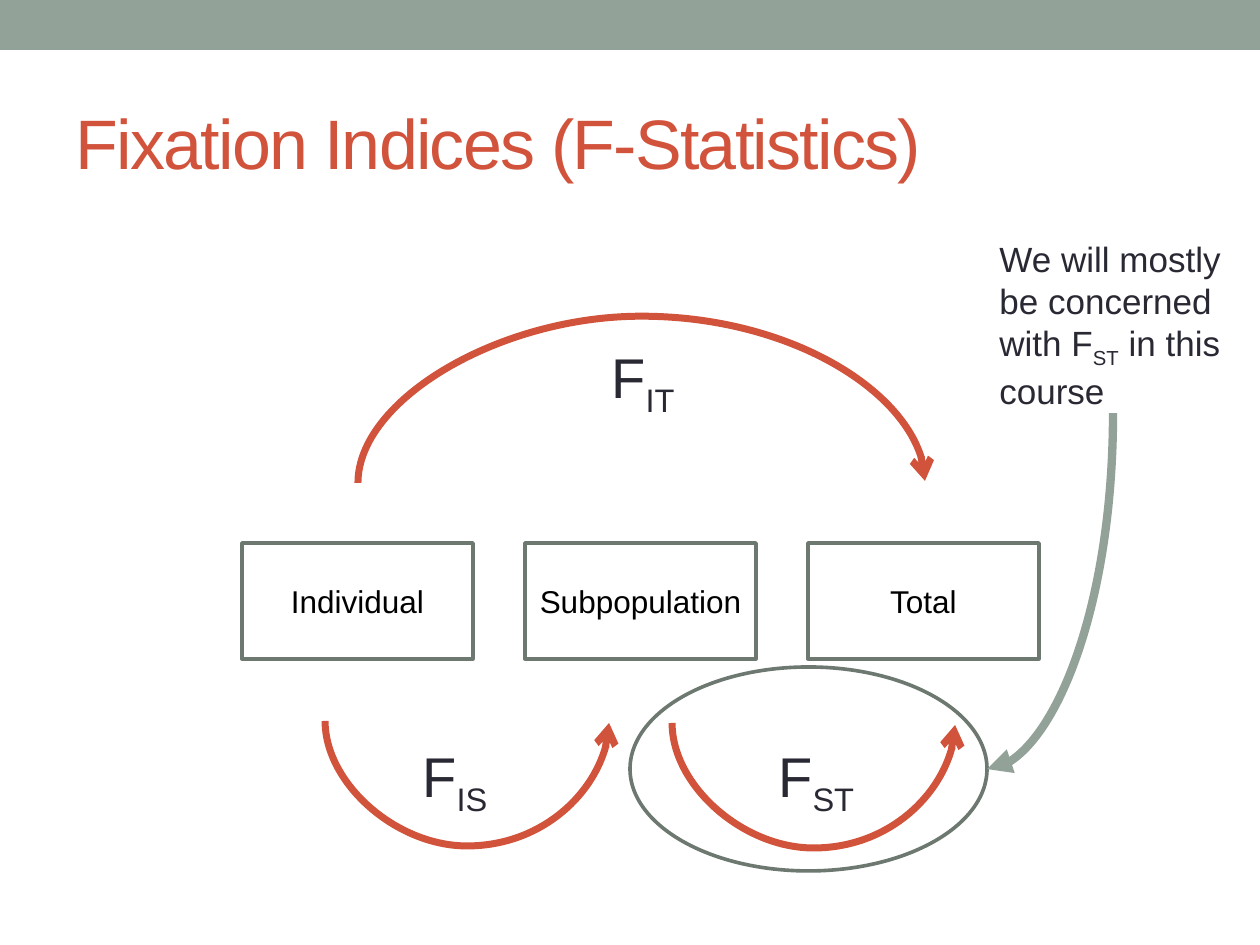
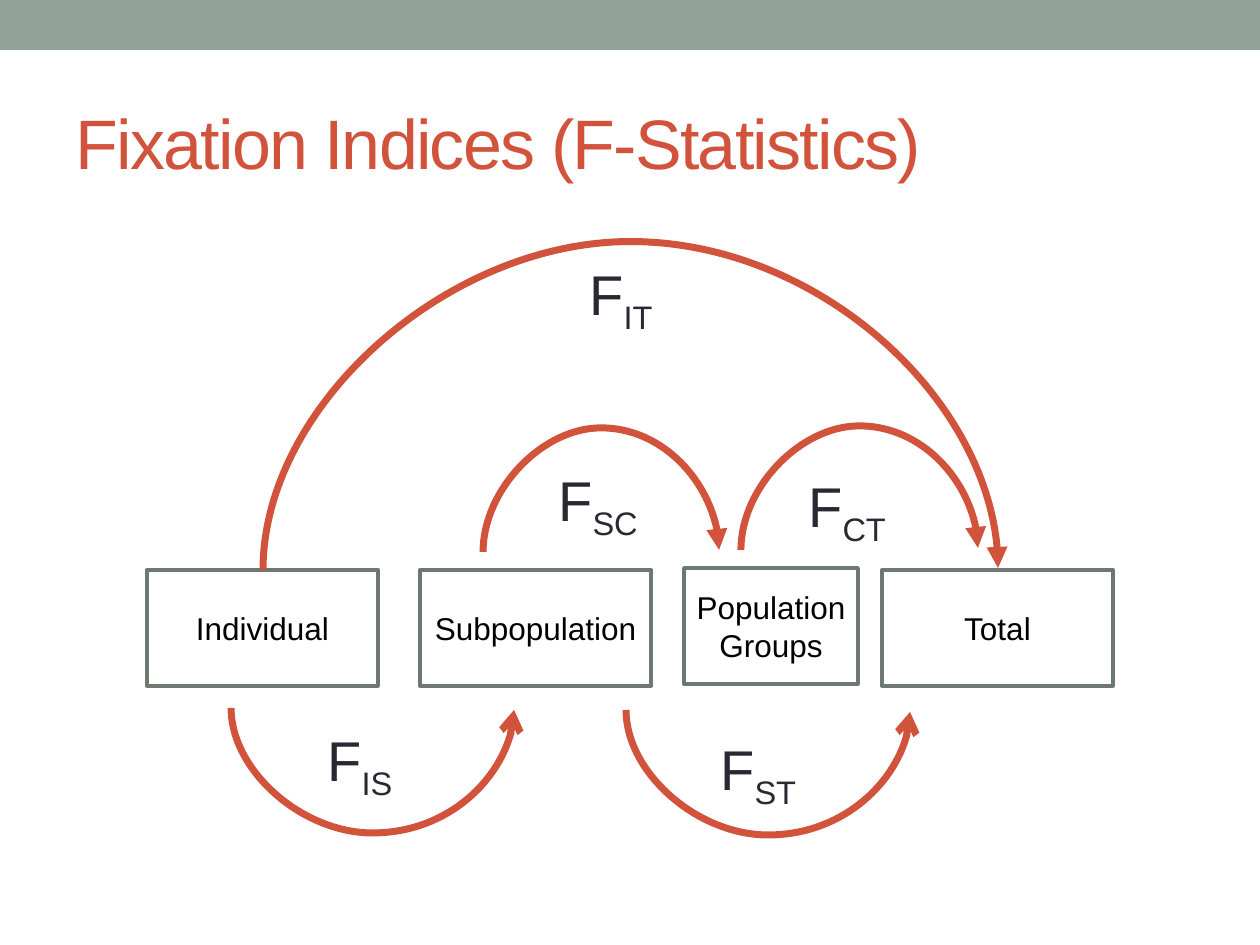
from lxml.etree import SubElement
from pptx import Presentation
from pptx.dml.color import RGBColor
from pptx.enum.shapes import MSO_CONNECTOR, MSO_SHAPE
from pptx.enum.text import MSO_ANCHOR, MSO_AUTO_SIZE, PP_ALIGN
from pptx.oxml.ns import qn
from pptx.util import Emu, Pt

PX_PER_INCH = 126
SLIDE_WIDTH, SLIDE_HEIGHT = 1260, 945
SAGE = RGBColor(0x93, 0xA2, 0x99)
SLATE = RGBColor(0x6D, 0x78, 0x71)
RED = RGBColor(0xD2, 0x53, 0x3C)
INK = RGBColor(0x29, 0x29, 0x34)
BLACK = RGBColor(0, 0, 0)
WHITE = RGBColor(0xFF, 0xFF, 0xFF)
FONT = "Arial"

TITLE = "Fixation Indices (F-Statistics)"
TITLE_AREA = (63, 73, 1134, 136)
BAND_AREA = (0, 0, SLIDE_WIDTH, 50)
BOX_WIDTH, BOX_HEIGHT = 231, 116
BOX_INSET = 6
LABEL_SIZE = (126, 81)
ARC_STEP = 2  # height difference between the two ends of an arc

# boxes: text, left, top, width
# arcs: subscript, label corner, start x, end x, start y, bulge (down is positive), arrowhead
DIAGRAMS = [
    {
        "boxes": [
            (name, 242 + 283 * column, 543, BOX_WIDTH)
            for column, name in enumerate(["Individual", "Subpopulation", "Total"])
        ],
        "arcs": [
            ("IT", (599, 336), 358, 925, 483, -168, "arrow"),
            ("IS", (410, 735), 325, 609, 721, 126, "arrow"),
            ("ST", (766, 735), 672, 955, 723, 126, "arrow"),
        ],
        "highlight": (630, 667, 357, 204),
        "note": {
            "area": (987, 231, 252, 183),
            "runs": [("We will mostly be concerned with F", False), ("ST", True),
                     (" in this course", False)],
            "pointer": ((1113, 413), (987, 769)),
        },
    },
    {
        "boxes": [
            ("Individual", 147, 570, BOX_WIDTH),
            ("Subpopulation", 420, 570, BOX_WIDTH),
            ("Population Groups", 684, 568, 174),
            ("Total", 882, 570, BOX_WIDTH),
        ],
        "arcs": [
            ("IT", (577, 253), 263, 998, 570, -331, "triangle"),
            ("SC", (546, 459), 483, 719, 552, -125, "triangle"),
            ("CT", (796, 465), 741, 978, 550, -125, "triangle"),
            ("IS", (315, 719), 231, 514, 708, 126, "arrow"),
            ("ST", (708, 728), 626, 910, 710, 126, "arrow"),
        ],
    },
]


def px(length):
    return Emu(round(length * 914400 / PX_PER_INCH))


def emu_area(area):
    return [px(length) for length in area]


def add_run(paragraph, text, size, color, subscript=False):
    run = paragraph.add_run()
    run.text = text
    run.font.name = FONT
    run.font.size = Pt(size)
    run.font.color.rgb = color
    if subscript:
        run.font._element.set("baseline", "-25000")
    return run


def add_text(slide, area, runs, size):
    frame = slide.shapes.add_textbox(*emu_area(area)).text_frame
    frame.word_wrap = True
    for text, subscript in runs:
        add_run(frame.paragraphs[0], text, size, INK, subscript)


def add_outlined(slide, preset, area, fill=None, line=SLATE):
    shape = slide.shapes.add_shape(preset, *emu_area(area))
    shape.shadow.inherit = False
    if fill is None:
        shape.fill.background()
    else:
        shape.fill.solid()
        shape.fill.fore_color.rgb = fill
    if line is None:
        shape.line.fill.background()
    else:
        shape.line.color.rgb = line
        shape.line.width = Pt(2.08)
    return shape


def add_box(slide, text, left, top, width):
    box = add_outlined(slide, MSO_SHAPE.RECTANGLE, (left, top, width, BOX_HEIGHT), WHITE)
    frame = box.text_frame
    frame.word_wrap = True
    frame.margin_left = frame.margin_right = px(BOX_INSET)
    frame.vertical_anchor = MSO_ANCHOR.MIDDLE
    frame.paragraphs[0].alignment = PP_ALIGN.CENTER
    add_run(frame.paragraphs[0], text, 18, BLACK)


def add_curve(slide, start, end, preset, turn, flips, color, width, head, adjust=None):
    """Curve that leaves its start vertically: a connector turned by 90 or 270 degrees."""
    (x1, y1), (x2, y2) = start, end
    length, breadth = abs(y2 - y1), abs(x2 - x1)
    left = (x1 + x2 - length) / 2
    top = (y1 + y2 - breadth) / 2
    connector = slide.shapes.add_connector(
        MSO_CONNECTOR.CURVE, *emu_area((left, top, left + length, top + breadth)))
    connector.line.color.rgb = color
    connector.line.width = Pt(width)
    properties = connector._element.spPr
    transform = properties.find(qn("a:xfrm"))
    transform.set("rot", str(turn * 60000))
    for flip in flips:
        transform.set(flip, "1")
    geometry = properties.find(qn("a:prstGeom"))
    geometry.set("prst", preset)
    if adjust is not None:
        guides = geometry.find(qn("a:avLst"))
        if guides is None:
            guides = SubElement(geometry, qn("a:avLst"))
        SubElement(guides, qn("a:gd"), name="adj1", fmla=f"val {round(adjust * 100000)}")
    SubElement(properties.find(qn("a:ln")), qn("a:tailEnd"), type=head)
    SubElement(properties, qn("a:effectLst"))


def add_arc(slide, subscript, corner, x1, x2, y, bulge, head):
    down = bulge > 0
    turn, flips = (270, ["flipH"]) if down else (90, ["flipH", "flipV"])
    end_y = y + ARC_STEP if down else y - ARC_STEP
    add_curve(slide, (x1, y), (x2, end_y), "curvedConnector3", turn, flips,
              RED, 4, head, abs(bulge) / ARC_STEP)
    add_text(slide, corner + LABEL_SIZE, [("F", False), (subscript, True)], 32)


def format_title(slide):
    title = slide.shapes.title
    title.left, title.top, title.width, title.height = emu_area(TITLE_AREA)
    frame = title.text_frame
    frame.auto_size = MSO_AUTO_SIZE.NONE
    frame.vertical_anchor = MSO_ANCHOR.MIDDLE
    frame.paragraphs[0].alignment = PP_ALIGN.LEFT
    run = add_run(frame.paragraphs[0], TITLE, 40, RED)
    run.font._element.set("spc", "-100")


def add_diagram(slide, diagram):
    for box in diagram["boxes"]:
        add_box(slide, *box)
    for arc in diagram["arcs"]:
        add_arc(slide, *arc)
    if "highlight" in diagram:
        add_outlined(slide, MSO_SHAPE.OVAL, diagram["highlight"])
    if "note" in diagram:
        note = diagram["note"]
        add_text(slide, note["area"], note["runs"], 20)
        add_curve(slide, *note["pointer"], "curvedConnector2", 90, [], SAGE, 4.75, "triangle")


def main():
    presentation = Presentation()
    presentation.slide_width, presentation.slide_height = px(SLIDE_WIDTH), px(SLIDE_HEIGHT)
    layout = presentation.slide_layouts[5]
    slides = [presentation.slides.add_slide(layout) for _ in DIAGRAMS]
    # The band is shared by all slides, so it moves to their layout
    band = add_outlined(slides[0], MSO_SHAPE.RECTANGLE, BAND_AREA, SAGE, None)
    layout.shapes._spTree.append(band._element)
    for slide, diagram in zip(slides, DIAGRAMS):
        format_title(slide)
        add_diagram(slide, diagram)
    presentation.save("out.pptx")


if __name__ == "__main__":
    main()
